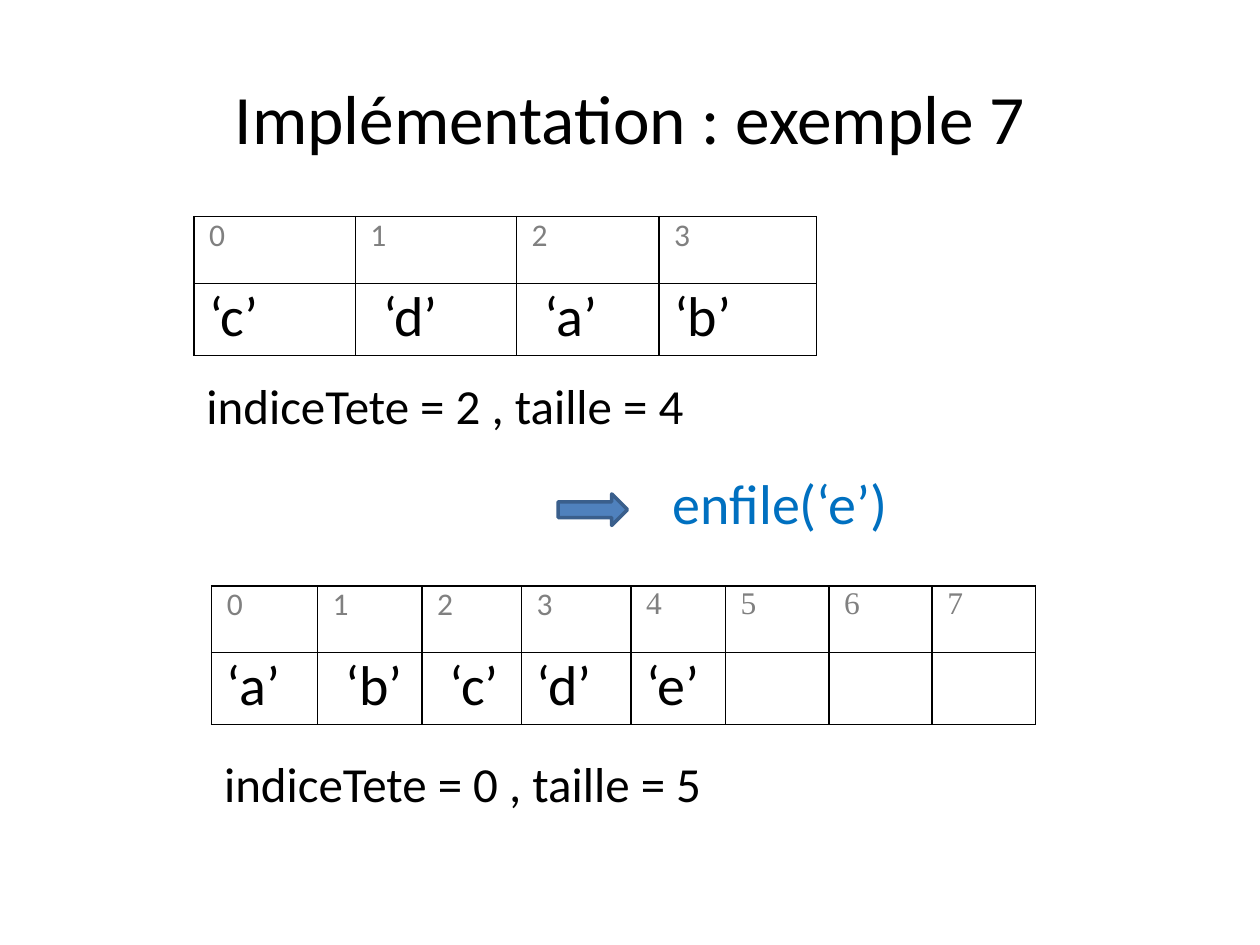
from lxml import etree
from pptx import Presentation
from pptx import util as u
from pptx.dml.color import RGBColor
from pptx.enum import shapes, text
from pptx.oxml.ns import qn

HUES = {"ink": "000000", "index": "808080", "call": "0070C0",
        "arrow": "4F81BD", "edge": "3A5F8C"}
SANS, SERIF = "Calibri", "Times New Roman"
ROWS = (0.53, 0.57)
PAD, SHIFT = 0.12, 0.1


def hue(name):
    return RGBColor.from_string(HUES[name])


def style(para, size, color="ink", face=SANS):
    font = para.font
    font.size, font.name = u.Pt(size), face
    font.color.rgb = hue(color)


def edge(cell):
    """Draw a thin line on all four sides of a cell."""
    props = cell._tc.get_or_add_tcPr()
    for i, side in enumerate(("lnL", "lnR", "lnT", "lnB")):
        line = etree.Element(qn("a:" + side), w=str(u.Pt(1)))
        fill = etree.SubElement(line, qn("a:solidFill"))
        etree.SubElement(fill, qn("a:srgbClr"), val=HUES["ink"])
        props.insert(i, line)


def add_queue(slide, left, top, cols, items, shifted, serif=None):
    """Table with indices above the stored items."""
    serif = len(cols) if serif is None else serif
    frame = slide.shapes.add_table(2, len(cols), *map(
        u.Inches, (left, top, sum(cols), sum(ROWS))))
    table = frame.table
    table.first_row = table.horz_banding = False
    for row, high in zip(table.rows, ROWS):
        row.height = u.Inches(high)
    for i, wide in enumerate(cols):
        table.columns[i].width = u.Inches(wide)
        item = items[i] if i < len(items) else ""
        for r, label in enumerate((str(i), item)):
            cell = table.cell(r, i)
            cell.fill.background()
            inset = PAD + (SHIFT if r and i in shifted else 0)
            cell.margin_left, cell.margin_right = u.Inches(inset), u.Inches(PAD)
            cell.margin_top = cell.margin_bottom = 0
            cell.text = label
            para = cell.text_frame.paragraphs[0]
            if r:
                style(para, 32)
            else:
                style(para, 18, "index", SERIF if i >= serif else SANS)
            edge(cell)


def add_label(slide, box, words, size, color="ink", wrap=False):
    frame = slide.shapes.add_textbox(*map(u.Inches, box)).text_frame
    frame.word_wrap = wrap
    frame.auto_size = text.MSO_AUTO_SIZE.SHAPE_TO_FIT_TEXT
    frame.text = words
    style(frame.paragraphs[0], size, color)


def add_arrow(slide, box):
    arrow = slide.shapes.add_shape(shapes.MSO_SHAPE.RIGHT_ARROW,
                                   *map(u.Inches, box))
    arrow.shadow.inherit = False
    arrow.fill.solid()
    arrow.fill.fore_color.rgb = hue("arrow")
    arrow.line.color.rgb = hue("edge")
    arrow.line.width = u.Pt(2)


def add_title(slide, words):
    title = slide.shapes.title
    title.left, title.top, title.width, title.height = map(
        u.Inches, (0.5, 0.3, 9, 1.25))
    frame = title.text_frame
    frame.text = words
    frame.vertical_anchor = text.MSO_ANCHOR.MIDDLE
    para = frame.paragraphs[0]
    para.alignment = text.PP_ALIGN.CENTER
    style(para, 39.6)


def main():
    deck = Presentation()
    deck.slide_width, deck.slide_height = u.Inches(10), u.Inches(7.5)
    slide = deck.slides.add_slide(deck.slide_layouts[5])
    add_title(slide, "Implémentation : exemple 7")

    # Queue before the call
    add_queue(slide, 1.54, 1.72, (1.28, 1.28, 1.13, 1.25),
              ("‘c’", "‘d’", "‘a’", "‘b’"), shifted=(1, 2))
    add_label(slide, (1.54, 2.93, 4.12, 0.57),
              "indiceTete = 2 , taille = 4", 28)

    # Call
    add_arrow(slide, (4.43, 3.92, 0.55, 0.25))
    add_label(slide, (5.24, 3.67, 1.97, 0.64), "enfile(‘e’)", 32, "call", True)

    # Queue after the call, with doubled capacity
    add_queue(slide, 1.68, 4.65,
              (0.84, 0.83, 0.79, 0.87, 0.75) + (0.82,) * 3,
              ("‘a’", "‘b’", "‘c’", "‘d’", "‘e’"), shifted=(1, 2), serif=4)
    add_label(slide, (1.68, 5.93, 4.12, 0.57),
              "indiceTete = 0 , taille = 5", 28)
    deck.save("out.pptx")


if __name__ == "__main__":
    main()
